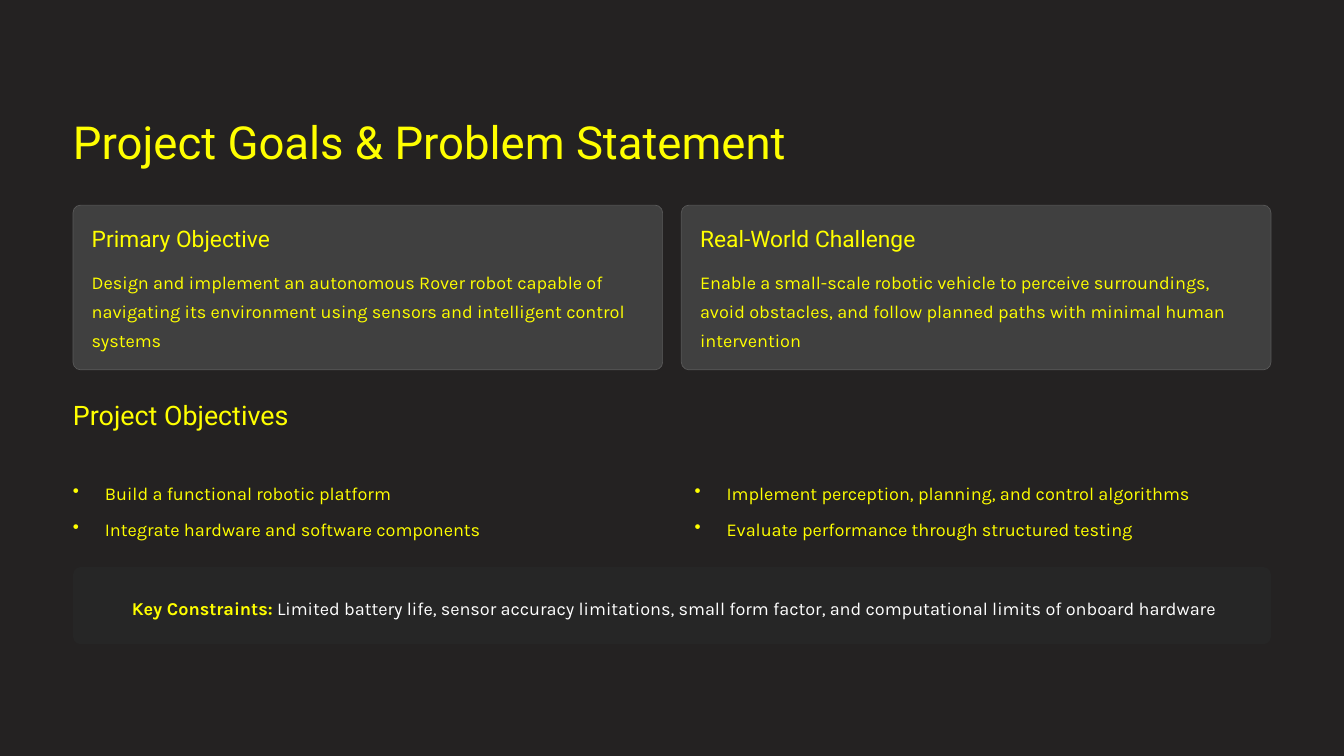
from lxml import etree
from pptx import Presentation
from pptx.dml.color import RGBColor
from pptx.enum.shapes import MSO_SHAPE
from pptx.oxml.ns import qn
from pptx.util import Pt

COLORS = {
    "background": "242222",
    "card": "404040",
    "card_border": "595959",
    "banner": "262626",
    "accent": "FFFF00",
    "plain": "FFFFFF",
}
HEADING_FONT, BODY_FONT = "Roboto", "Karla"
BODY_SIZE, BODY_LINE = 15.5, 25
MARGIN = 62.6
CONTENT_WIDTH = 1152 - 2 * MARGIN

presentation = Presentation()
presentation.slide_width, presentation.slide_height = Pt(1152), Pt(648)
slide = presentation.slides.add_slide(presentation.slide_layouts[6])
slide.background.fill.solid()
slide.background.fill.fore_color.rgb = RGBColor.from_string(COLORS["background"])


def add_panel(left, top, width, height, rounding, fill, border=None):
    shape = slide.shapes.add_shape(
        MSO_SHAPE.ROUNDED_RECTANGLE, Pt(left), Pt(top), Pt(width), Pt(height))
    shape.adjustments[0] = rounding
    shape.shadow.inherit = False
    shape.fill.solid()
    shape.fill.fore_color.rgb = RGBColor.from_string(COLORS[fill])
    if border:
        shape.line.color.rgb = RGBColor.from_string(COLORS[border])
        shape.line.width = Pt(0.6)
    else:
        shape.line.fill.background()


def add_text(left, top, width, height, paragraphs, size=BODY_SIZE,
             line=BODY_LINE, font=BODY_FONT, wrap=False, bullets=False):
    """Each paragraph is a list of (text, color, bold) runs."""
    box = slide.shapes.add_textbox(Pt(left), Pt(top), Pt(width), Pt(height))
    frame = box.text_frame
    frame.margin_left = frame.margin_right = 0
    frame.margin_top = frame.margin_bottom = 0
    frame.word_wrap = wrap
    for index, runs in enumerate(paragraphs):
        paragraph = frame.add_paragraph() if index else frame.paragraphs[0]
        paragraph.line_spacing = Pt(line)
        if index:
            paragraph.space_before = Pt(5.25)
        if bullets:
            properties = paragraph._p.get_or_add_pPr()
            properties.set("marL", str(Pt(27.4)))
            properties.set("indent", str(-Pt(27.4)))
            etree.SubElement(properties, qn("a:buChar")).set("char", "•")
        for text, color, bold in runs:
            run = paragraph.add_run()
            run.text = text
            run.font.name = font
            run.font.size = Pt(size)
            run.font.bold = bold
            run.font.color.rgb = RGBColor.from_string(COLORS[color])


# Title
add_text(MARGIN, 95.8, 670, 49,
         [[("Project Goals & Problem Statement", "accent", False)]],
         size=39, line=48.5, font=HEADING_FONT)

# Objective and challenge cards
CARD_GAP, CARD_PADDING = 16, 16
CARD_WIDTH = (CONTENT_WIDTH - CARD_GAP) / 2
cards = [
    ("Primary Objective",
     "Design and implement an autonomous Rover robot capable of navigating "
     "its environment using sensors and intelligent control systems"),
    ("Real-World Challenge",
     "Enable a small-scale robotic vehicle to perceive surroundings, avoid "
     "obstacles, and follow planned paths with minimal human intervention"),
]
for column, (heading, description) in enumerate(cards):
    left = MARGIN + column * (CARD_WIDTH + CARD_GAP)
    text_left, text_width = left + CARD_PADDING, CARD_WIDTH - 2 * CARD_PADDING
    add_panel(left, 175.8, CARD_WIDTH, 141.2, 0.046, "card", "card_border")
    add_text(text_left, 192.2, text_width, 24.5,
             [[(heading, "accent", False)]],
             size=19.5, line=24, font=HEADING_FONT)
    add_text(text_left, 226.1, text_width, 75,
             [[(description, "accent", False)]], wrap=True)

# Project objectives in two bulleted columns
add_text(MARGIN, 340.6, 235, 29.5,
         [[("Project Objectives", "accent", False)]],
         size=23, line=29, font=HEADING_FONT)
objectives = [
    ["Build a functional robotic platform",
     "Integrate hardware and software components"],
    ["Implement perception, planning, and control algorithms",
     "Evaluate performance through structured testing"],
]
LIST_WIDTH, LIST_PITCH = 494.6, 532.8
for column, items in enumerate(objectives):
    add_text(MARGIN + column * LIST_PITCH, 407.5, LIST_WIDTH, 55.5,
             [[(item, "accent", False)] for item in items],
             wrap=True, bullets=True)

# Key constraints banner
add_panel(MARGIN, 486, CONTENT_WIDTH, 66.2, 0.099, "banner")
add_text(113, 505.4, 960.5, 25.2, [[
    ("Key Constraints:", "accent", True),
    (" Limited battery life, sensor accuracy limitations, small form factor, "
     "and computational limits of onboard hardware", "plain", False),
]])

presentation.save("out.pptx")
